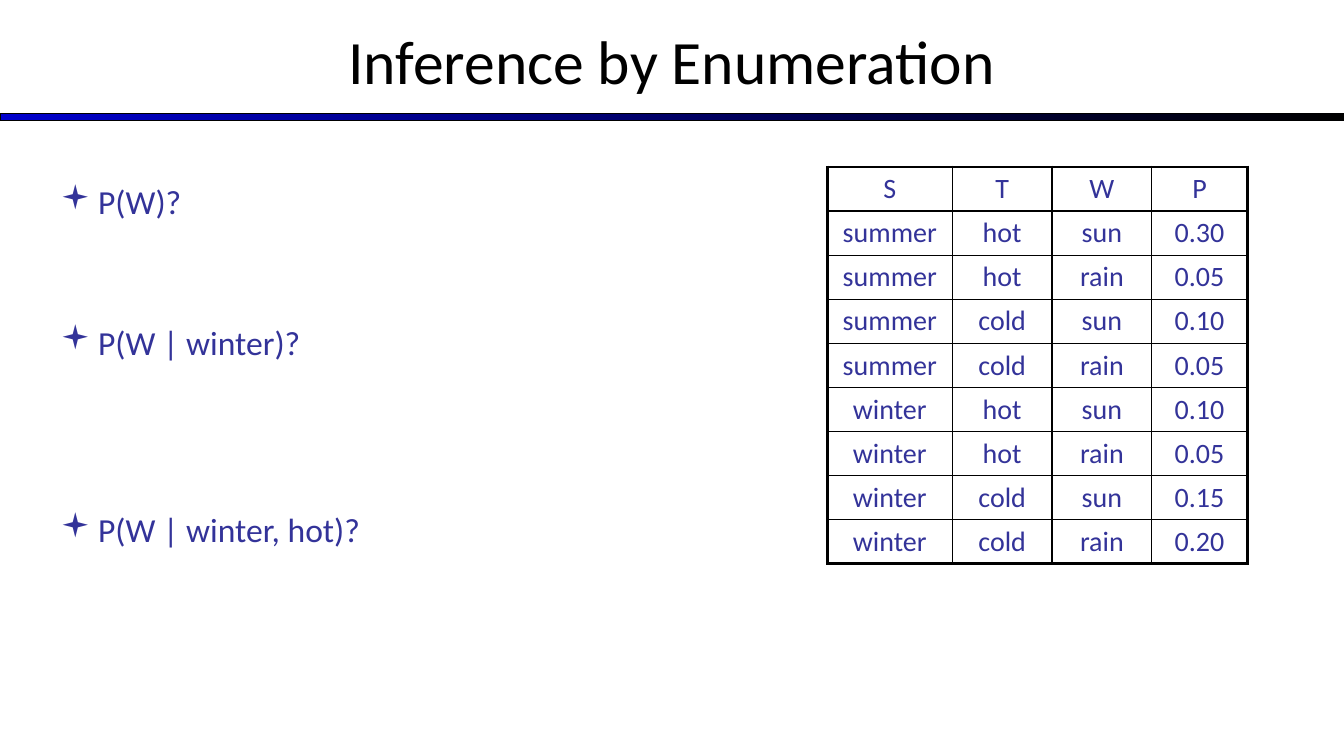
from lxml.etree import SubElement
from pptx import Presentation
from pptx.dml.color import RGBColor
from pptx.enum.shapes import MSO_SHAPE as Shape
from pptx.enum.text import MSO_ANCHOR as Anchor, PP_ALIGN as Align
from pptx.oxml.ns import qn
from pptx.util import Emu, Pt

EMU_PER_PX = 9525
FONT = "Calibri"
BLACK = "000000"
BLUE = "0000CC"
INDIGO = "333399"
LINE_PITCH = 33.6
PARA_GAP = 4.3

QUESTIONS = [("P(W)?", 0), ("P(W | winter)?", 2), ("P(W | winter, hot)?", 3)]
COLUMN_WIDTHS = [119, 95, 95, 91]
ROW_HEIGHT = 42
JOINT_TABLE = [
    ("S", "T", "W", "P"),
    ("summer", "hot", "sun", "0.30"),
    ("summer", "hot", "rain", "0.05"),
    ("summer", "cold", "sun", "0.10"),
    ("summer", "cold", "rain", "0.05"),
    ("winter", "hot", "sun", "0.10"),
    ("winter", "hot", "rain", "0.05"),
    ("winter", "cold", "sun", "0.15"),
    ("winter", "cold", "rain", "0.20"),
]


def px(*lengths):
    return [Emu(length * EMU_PER_PX) for length in lengths]


def color(value):
    return RGBColor.from_string(value)


def style_para(para, size, value, align):
    para.alignment = align
    for span in para.runs:
        span.font.name = FONT
        span.font.size = Pt(size)
        span.font.color.rgb = color(value)


def add_text_frame(page, bounds):
    frame = page.shapes.add_textbox(*px(*bounds)).text_frame
    frame.word_wrap = True
    return frame


def add_title(page, text):
    frame = add_text_frame(page, (0, -3, 1280, 120))
    frame.vertical_anchor = Anchor.MIDDLE
    frame.text = text
    style_para(frame.paragraphs[0], 44, BLACK, Align.CENTER)


def add_divider(page):
    bar = page.shapes.add_shape(Shape.RECTANGLE, *px(0, 108, 1280, 7))
    bar.shadow.inherit = False
    bar.fill.gradient()
    bar.fill.gradient_angle = 0
    for stop, value in zip(bar.fill.gradient_stops, (BLUE, BLACK)):
        stop.color.rgb = color(value)
    bar.line.color.rgb = color(BLACK)
    bar.line.width = Pt(0.75)


def add_bullet(para, value):
    indent, = px(36)
    settings = para._p.get_or_add_pPr()
    settings.set("marL", str(indent))
    settings.set("indent", str(-indent))
    tint = SubElement(settings, qn("a:buClr"))
    SubElement(tint, qn("a:srgbClr"), val=value)
    SubElement(settings, qn("a:buFont"), typeface="Wingdings")
    SubElement(settings, qn("a:buChar"), char="▪")


def add_questions(page):
    frame = add_text_frame(page, (48, 168, 424, 475))
    frame.text = "\n".join(text for text, _ in QUESTIONS)
    for para, (_, lines_above) in zip(frame.paragraphs, QUESTIONS):
        style_para(para, 24, INDIGO, Align.LEFT)
        para.space_before = Pt(PARA_GAP + lines_above * LINE_PITCH)
        add_bullet(para, INDIGO)


def set_borders(cell, outer_sides):
    settings = cell._tc.get_or_add_tcPr()
    for side in "LRTB":
        width = Pt(2.25 if side in outer_sides else 1)
        border = SubElement(settings, qn(f"a:ln{side}"), w=str(width))
        fill = SubElement(border, qn("a:solidFill"))
        SubElement(fill, qn("a:srgbClr"), val=BLACK)


def add_joint_table(page):
    last_row, last_column = len(JOINT_TABLE) - 1, len(COLUMN_WIDTHS) - 1
    bounds = px(788, 159, sum(COLUMN_WIDTHS), ROW_HEIGHT * len(JOINT_TABLE))
    table = page.shapes.add_table(last_row + 1, last_column + 1, *bounds).table
    for column, width in zip(table.columns, px(*COLUMN_WIDTHS)):
        column.width = width
    for r, values in enumerate(JOINT_TABLE):
        table.rows[r].height, = px(ROW_HEIGHT)
        for c, value in enumerate(values):
            cell = table.cell(r, c)
            cell.text = value
            style_para(cell.text_frame.paragraphs[0], 20, INDIGO, Align.CENTER)
            edges = {"L": c == 0, "R": c == last_column, "T": r == 0, "B": r == last_row}
            set_borders(cell, [side for side, outer in edges.items() if outer])
            cell.fill.background()
    table.first_row = False
    table.horz_banding = False


def main():
    deck = Presentation()
    deck.slide_width, deck.slide_height = px(1280, 720)
    page = deck.slides.add_slide(deck.slide_layouts[6])
    add_divider(page)
    add_title(page, "Inference by Enumeration")
    add_questions(page)
    add_joint_table(page)
    deck.save("out.pptx")


if __name__ == "__main__":
    main()
